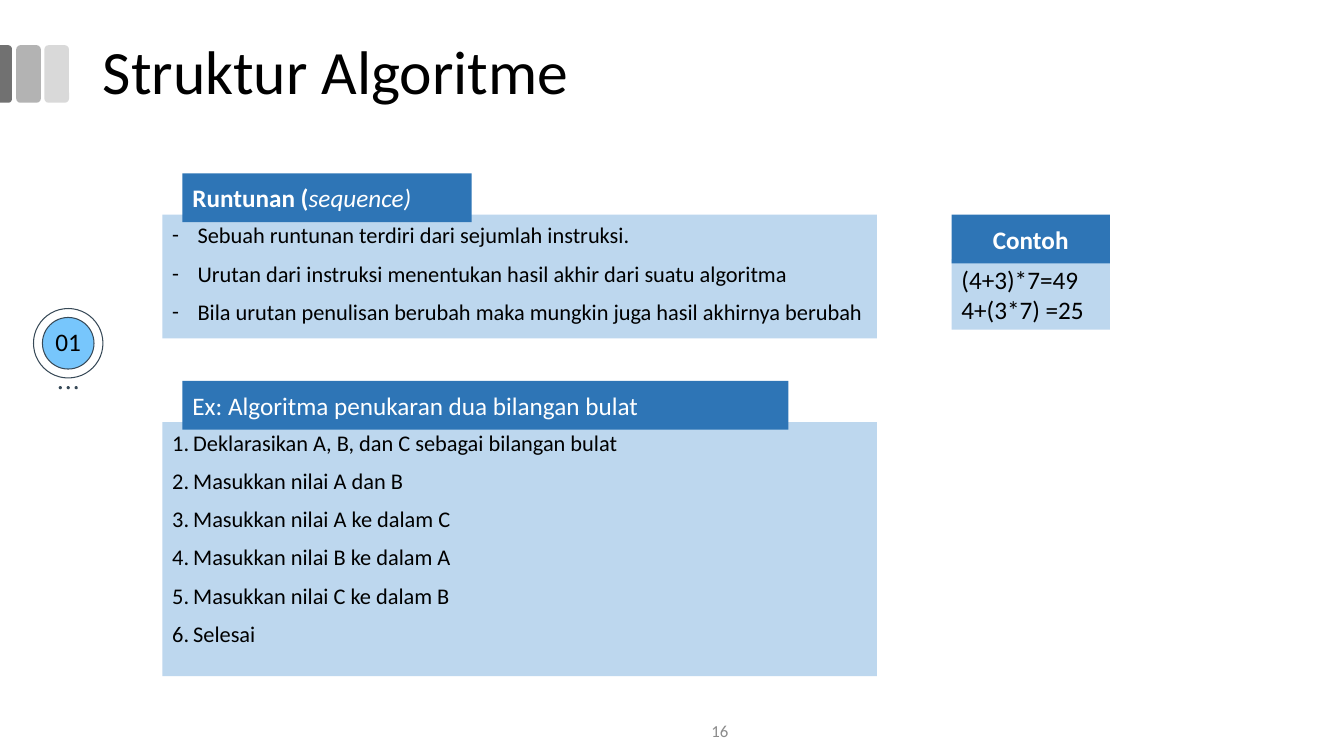
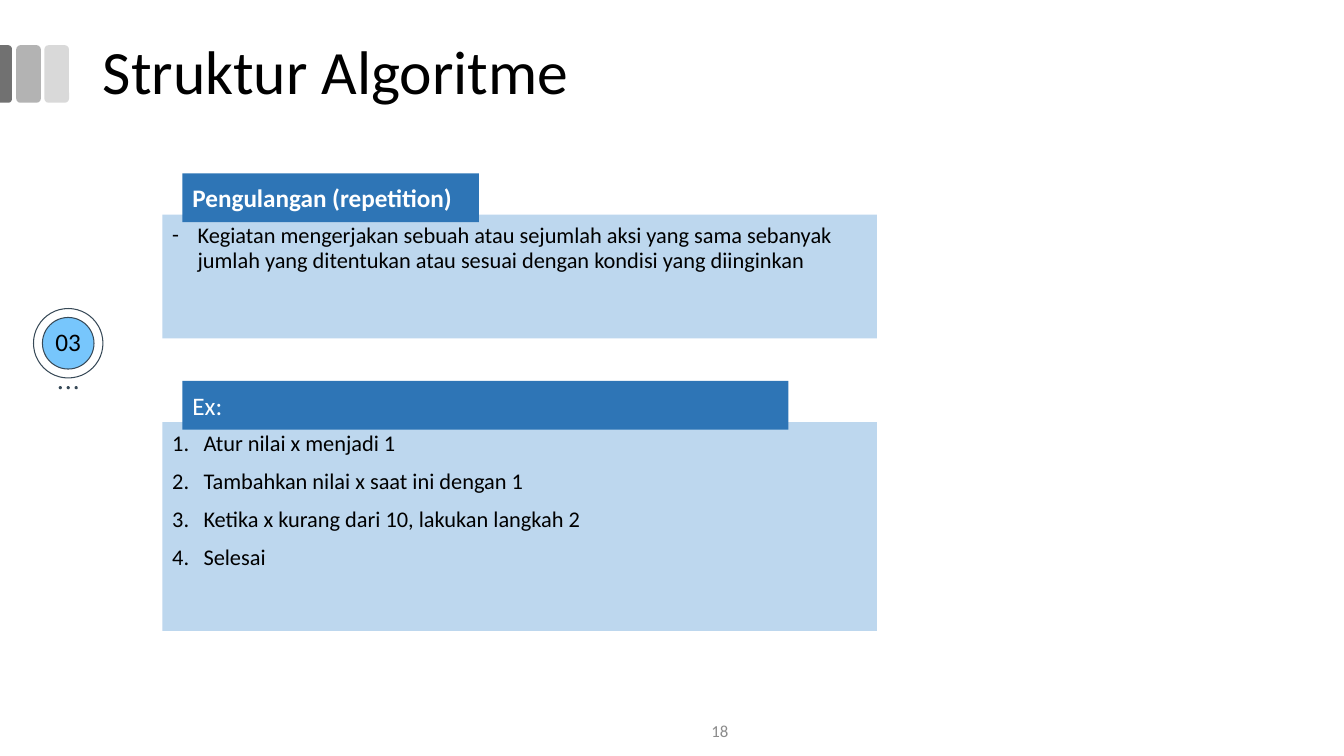
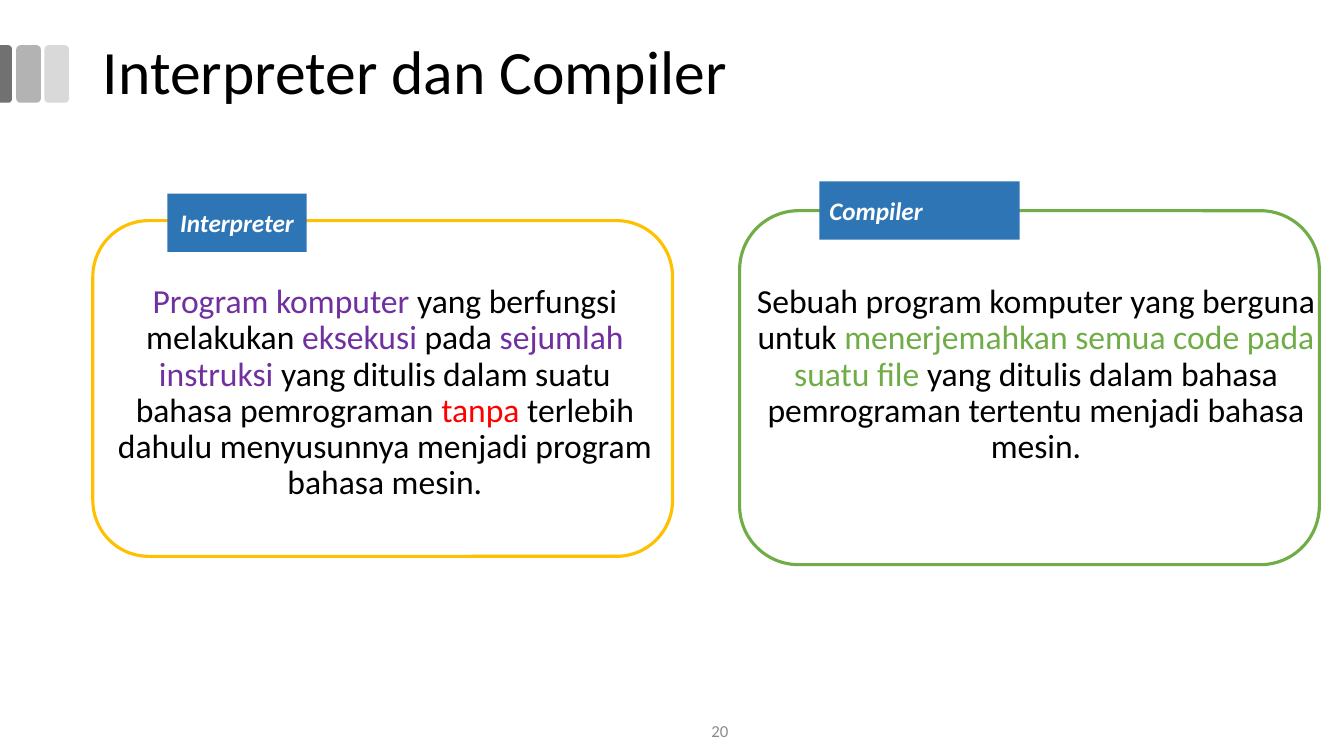
"""Build three slides on algorithm structures, interpreters and compilers."""
import pptx
import pptx.dml.color
import pptx.enum.shapes
import pptx.enum.text
import pptx.oxml.ns
import pptx.util
from lxml import etree

Cm = pptx.util.Cm
Pt = pptx.util.Pt
SHAPE = pptx.enum.shapes.MSO_SHAPE
ANCHOR = pptx.enum.text.MSO_ANCHOR
ALIGN = pptx.enum.text.PP_ALIGN

FONT = "Calibri"
BLACK, WHITE, GREY = "000000", "FFFFFF", "8B8B8B"
BLUE, PALE_BLUE, SKY, SLATE = "2E75B6", "BDD7EE", "77C6FC", "374957"
PURPLE, RED, GREEN, AMBER = "7030A0", "FF0000", "70AD47", "FFC000"
BOLD, ITALIC = {"bold": True}, {"italic": True}
BOLD_ITALIC = {**BOLD, **ITALIC}

DASH = ("buChar", {"char": "-"}, 0.64)
NUMBER = ("buAutoNum", {"type": "arabicPeriod"}, 0.79)
TIGHT_NUMBER = ("buAutoNum", {"type": "arabicPeriod"}, 0.53)

PANEL_LEFT, PANEL_WIDTH = 4.09, 18.01
HEADER_HEIGHT, HEADER_INDENT, HEADER_RISE = 1.23, 0.51, 1.04
EXAMPLE_LEFT, EXAMPLE_WIDTH = 23.98, 3.99
UPPER_TOP, LOWER_TOP = 5.41, 10.64

STRUCTURES = [
    {
        "title": "Struktur Algoritme",
        "page": "16",
        "badge": "01",
        "panels": [
            {
                "top": UPPER_TOP, "height": 3.12, "header_width": 7.29, "bullet": DASH,
                "header": [("Runtunan (", BOLD), ("sequence)", ITALIC)],
                "lines": [
                    "Sebuah runtunan terdiri dari sejumlah instruksi.",
                    "Urutan dari instruksi menentukan hasil akhir dari suatu algoritma",
                    "Bila urutan penulisan berubah maka mungkin juga hasil akhirnya berubah",
                ],
            },
            {
                "top": LOWER_TOP, "height": 6.4, "header_width": 15.27, "bullet": TIGHT_NUMBER,
                "header": "Ex: Algoritma penukaran dua bilangan bulat",
                "lines": [
                    "Deklarasikan A, B, dan C sebagai bilangan bulat",
                    "Masukkan nilai A dan B",
                    "Masukkan nilai A ke dalam C",
                    "Masukkan nilai B ke dalam A",
                    "Masukkan nilai C ke dalam B",
                    "Selesai",
                ],
            },
        ],
        "example": ("Contoh", ["(4+3)*7=49", "4+(3*7) =25"]),
    },
    {
        "title": "Struktur Algoritme",
        "page": "18",
        "badge": "03",
        "panels": [
            {
                "top": UPPER_TOP, "height": 3.12, "header_width": 7.47, "bullet": DASH,
                "header": [("Pengulangan (repetition)", BOLD)],
                "lines": [
                    "Kegiatan mengerjakan sebuah atau sejumlah aksi yang sama sebanyak "
                    "jumlah yang ditentukan atau sesuai dengan kondisi yang diinginkan",
                ],
            },
            {
                "top": LOWER_TOP, "height": 5.26, "header_width": 15.27, "bullet": NUMBER,
                "header": "Ex:",
                "lines": [
                    "Atur nilai x menjadi 1",
                    "Tambahkan nilai x saat ini dengan 1",
                    "Ketika x kurang dari 10, lakukan langkah 2",
                    "Selesai",
                ],
            },
        ],
        "example": None,
    },
]

TRANSLATORS = {
    "title": "Interpreter dan Compiler",
    "page": "20",
    "cards": [
        {
            "frame": (2.34, 5.56, 14.61, 8.46), "line": AMBER, "fill": WHITE,
            "label": "Interpreter", "label_box": (4.22, 4.88, 3.51, 1.47), "align": ALIGN.CENTER,
            "text_box": (2.46, 7.04, 14.48, 6.43),
            "text": [
                ("Program komputer", {"color": PURPLE}),
                (" yang berfungsi melakukan ", {}),
                ("eksekusi", {"color": PURPLE}),
                (" pada ", {}),
                ("sejumlah instruksi", {"color": PURPLE}),
                (" yang ditulis dalam suatu bahasa pemrograman ", {}),
                ("tanpa", {"color": RED}),
                (" terlebih dahulu menyusunnya menjadi program bahasa mesin.", {}),
            ],
        },
        {
            "frame": (18.64, 5.31, 14.61, 8.92), "line": GREEN, "fill": None,
            "label": "Compiler", "label_box": (20.65, 4.57, 5.05, 1.47), "align": ALIGN.LEFT,
            "text_box": (18.81, 7.04, 14.6, 6.02),
            "text": [
                ("Sebuah program komputer yang berguna untuk ", {}),
                ("menerjemahkan semua code pada suatu file ", {"color": GREEN}),
                ("yang ditulis dalam bahasa pemrograman tertentu menjadi bahasa mesin.", {}),
            ],
        },
    ],
}


def rgb(color):
    return pptx.dml.color.RGBColor.from_string(color)


def style_font(font, size=None, color=None, bold=None, italic=None):
    if size:
        font.name, font.size = FONT, Pt(size)
    if color:
        font.color.rgb = rgb(color)
    if bold is not None:
        font.bold = bold
    if italic is not None:
        font.italic = italic


def add_bullet(paragraph, bullet):
    tag, attributes, indent = bullet
    properties = paragraph._p.get_or_add_pPr()
    properties.set("marL", str(Cm(indent)))
    properties.set("indent", str(-Cm(indent)))
    font = etree.SubElement(properties, pptx.oxml.ns.qn("a:buFont"))
    font.set("typeface", FONT)
    etree.SubElement(properties, pptx.oxml.ns.qn("a:" + tag), attributes)


def write_text(shape, lines, size, color=BLACK, align=ALIGN.LEFT, anchor=ANCHOR.TOP,
               inset=(0.25, 0.13), spacing=None, before=0, bullet=None):
    frame = shape.text_frame
    frame.word_wrap = True
    frame.vertical_anchor = anchor
    frame.margin_left = frame.margin_right = Cm(inset[0])
    frame.margin_top = frame.margin_bottom = Cm(inset[1])
    for index, line in enumerate(lines):
        paragraph = frame.add_paragraph() if index else frame.paragraphs[0]
        paragraph.alignment = align
        if spacing:
            paragraph.line_spacing = spacing
        if index and before:
            paragraph.space_before = Pt(before)
        if bullet:
            add_bullet(paragraph, bullet)
        style_font(paragraph.font, size, color)
        for text, style in [(line, {})] if isinstance(line, str) else line:
            run = paragraph.add_run()
            run.text = text
            style_font(run.font, **style)


def add_shape(slide, kind, box, fill=None, line=None, line_width=0.75):
    shape = slide.shapes.add_shape(kind, *map(Cm, box))
    shape.shadow.inherit = False
    if fill:
        shape.fill.solid()
        shape.fill.fore_color.rgb = rgb(fill)
    else:
        shape.fill.background()
    if line:
        shape.line.color.rgb = rgb(line)
        shape.line.width = Pt(line_width)
    else:
        shape.line.fill.background()
    return shape


def add_text(slide, box, lines, size, **options):
    write_text(slide.shapes.add_textbox(*map(Cm, box)), lines, size, **options)


def add_circle(slide, center, diameter, fill, line=None):
    left, top = (position - diameter / 2 for position in center)
    return add_shape(slide, SHAPE.OVAL, (left, top, diameter, diameter), fill, line)


def add_header(slide, box, line, align=ALIGN.LEFT):
    header = add_shape(slide, SHAPE.RECTANGLE, box, BLUE)
    write_text(header, [line], 18, WHITE, align, ANCHOR.MIDDLE)


def add_base_slide(presentation, title, page):
    slide = presentation.slides.add_slide(presentation.slide_layouts[6])
    for left, fill in [(1.12, "D9D9D9"), (0.41, "B3B3B3")]:
        add_shape(slide, SHAPE.ROUNDED_RECTANGLE, (left, 1.14, 0.62, 1.45), fill)
    edge = add_shape(slide, SHAPE.ROUND_2_SAME_RECTANGLE, (-0.58, 1.71, 1.45, 0.31), "717171")
    edge.adjustments[0] = 0.29
    edge.rotation = 90
    add_text(slide, (2.34, 0.03, 29.21, 3.68), [title], 44, anchor=ANCHOR.MIDDLE, spacing=0.9)
    add_text(slide, (14.33, 17.91, 7.62, 1.02), [page], 12, color=GREY,
             align=ALIGN.CENTER, anchor=ANCHOR.MIDDLE)
    return slide


def add_badge(slide, number):
    center_x, center_y = 1.72, 8.65
    add_circle(slide, (center_x, center_y), 1.75, WHITE, SLATE)
    disc = add_circle(slide, (center_x, center_y), 1.3, SKY, SLATE)
    write_text(disc, [number], 18, align=ALIGN.CENTER, anchor=ANCHOR.MIDDLE,
               inset=(0, 0), spacing=0.9)
    for step in (-1, 0, 1):
        add_circle(slide, (center_x + 0.2 * step, center_y + 1.12), 0.08, SLATE)


def add_panel(slide, panel):
    body = add_shape(slide, SHAPE.RECTANGLE,
                     (PANEL_LEFT, panel["top"], PANEL_WIDTH, panel["height"]), PALE_BLUE)
    write_text(body, panel["lines"], 16, inset=(0.25, 0.25), spacing=0.9, before=10,
               bullet=panel["bullet"])
    add_header(slide, (PANEL_LEFT + HEADER_INDENT, panel["top"] - HEADER_RISE,
                       panel["header_width"], HEADER_HEIGHT), panel["header"])


def add_example(slide, heading, lines):
    body = add_shape(slide, SHAPE.RECTANGLE, (EXAMPLE_LEFT, 6.53, EXAMPLE_WIDTH, 1.78), PALE_BLUE)
    write_text(body, lines, 18)
    add_header(slide, (EXAMPLE_LEFT, UPPER_TOP, EXAMPLE_WIDTH, HEADER_HEIGHT),
               [(heading, BOLD)], ALIGN.CENTER)


def add_card(slide, card):
    add_shape(slide, SHAPE.ROUNDED_RECTANGLE, card["frame"], card["fill"], card["line"], 2.25)
    add_header(slide, card["label_box"], [(card["label"], BOLD_ITALIC)], card["align"])
    add_text(slide, card["text_box"], [card["text"]], 24, align=ALIGN.CENTER, spacing=0.9)


def main():
    presentation = pptx.Presentation()
    presentation.slide_width, presentation.slide_height = Cm(33.87), Cm(19.05)
    for structure in STRUCTURES:
        slide = add_base_slide(presentation, structure["title"], structure["page"])
        add_badge(slide, structure["badge"])
        for panel in structure["panels"]:
            add_panel(slide, panel)
        if structure["example"]:
            add_example(slide, *structure["example"])
    slide = add_base_slide(presentation, TRANSLATORS["title"], TRANSLATORS["page"])
    for card in TRANSLATORS["cards"]:
        add_card(slide, card)
    presentation.save("out.pptx")


if __name__ == "__main__":
    main()
